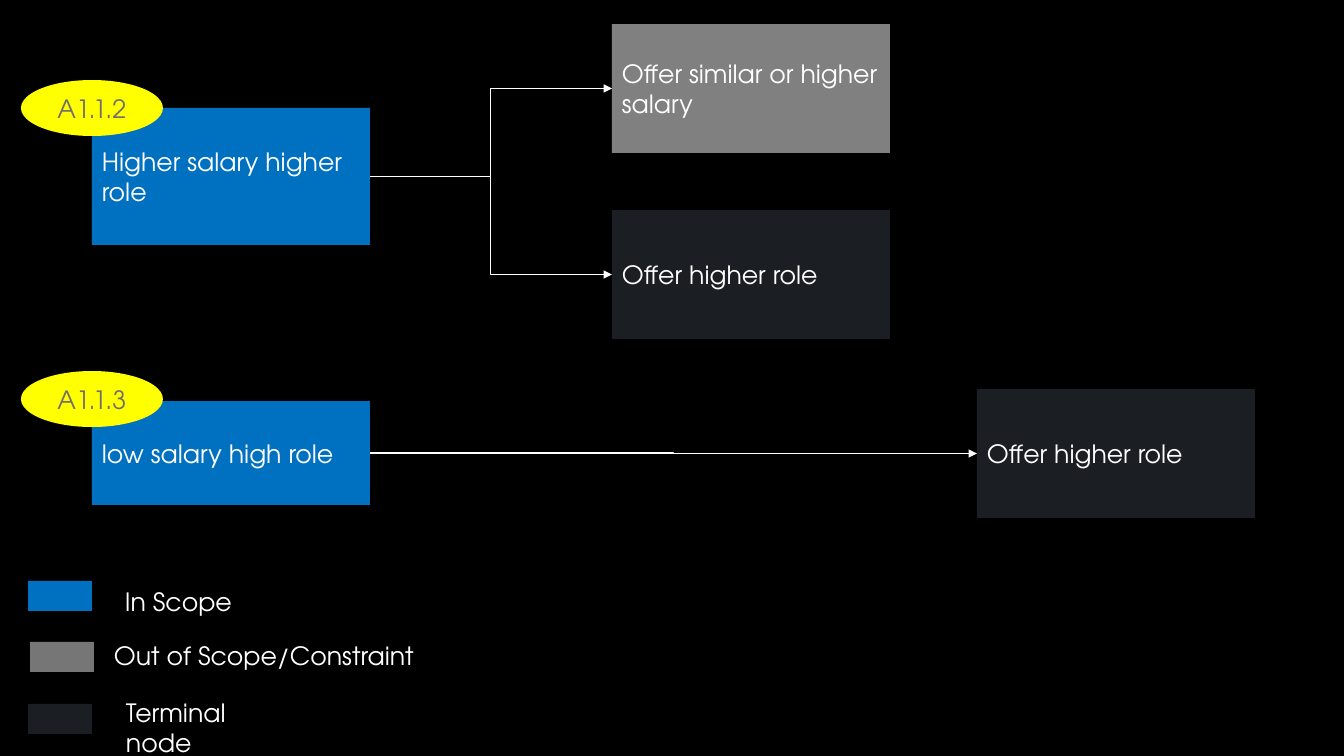
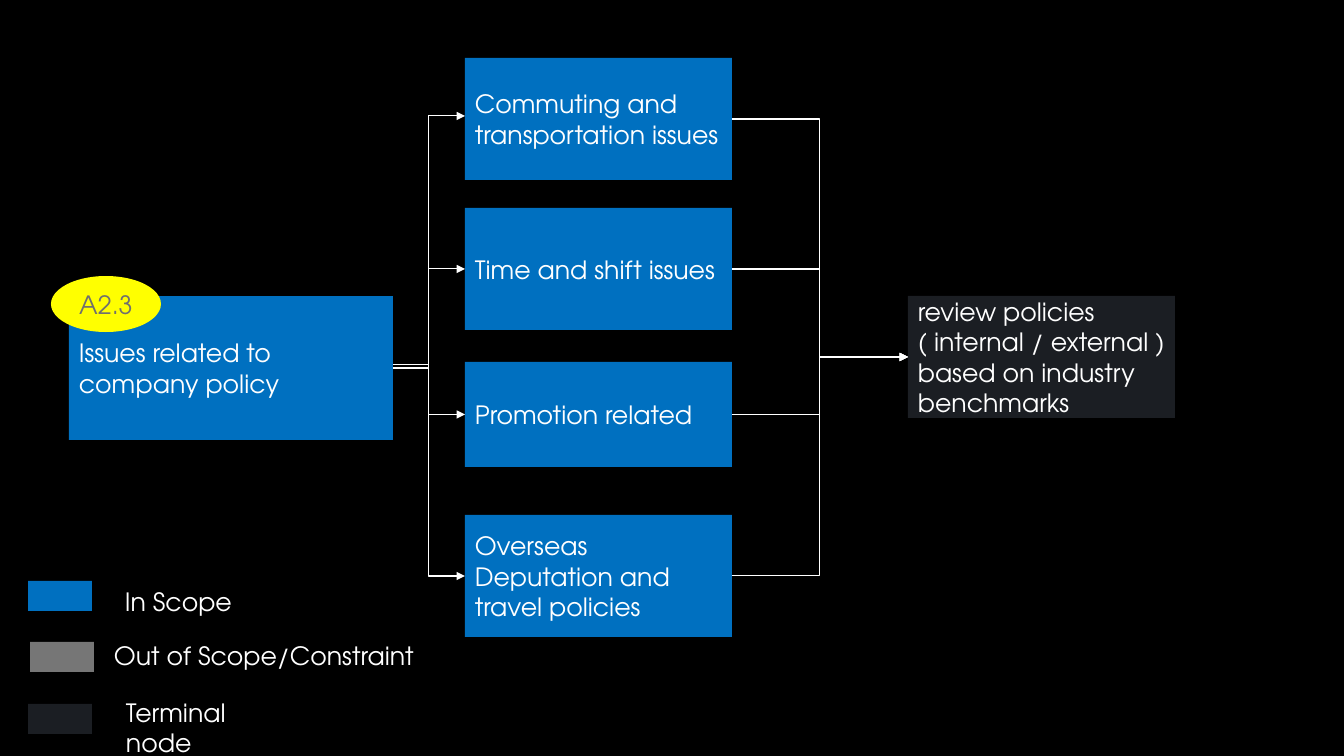
from lxml import etree
from pptx import Presentation
from pptx.dml.color import RGBColor
from pptx.enum.shapes import MSO_CONNECTOR, MSO_SHAPE
from pptx.enum.text import MSO_ANCHOR, PP_ALIGN
from pptx.oxml.ns import qn
from pptx.util import Pt

PX = 914400 / 100.8
FONT = "TeX Gyre Adventor"
RECTANGLE, OVAL = MSO_SHAPE.RECTANGLE, MSO_SHAPE.OVAL
ELBOW = MSO_CONNECTOR.ELBOW
MIDDLE, TOP = MSO_ANCHOR.MIDDLE, MSO_ANCHOR.TOP
LEFT, CENTER = PP_ALIGN.LEFT, PP_ALIGN.CENTER
LEFT_SITE, RIGHT_SITE = 1, 3
BLACK, WHITE, YELLOW = "000000", "FFFFFF", "FFFF00"
IN_SCOPE, TERMINAL = "0070C0", "1B1E23"
CONSTRAINT, LEGEND_GRAY, BADGE_TEXT = "808080", "767676", "6F6F6F"


def add_box(page, place, text="", fill=None, kind=RECTANGLE):
    place = [round(length * PX) for length in place]
    if fill:
        box = page.shapes.add_shape(kind, *place)
        box.shadow.inherit = False
        box.fill.solid()
        box.fill.fore_color.rgb = RGBColor.from_string(fill)
        box.line.fill.background()
    else:
        box = page.shapes.add_textbox(*place)
    frame = box.text_frame
    frame.word_wrap = True
    frame.vertical_anchor = MIDDLE if fill else TOP
    if text:
        para = frame.paragraphs[0]
        para.text = text
        para.alignment = CENTER if kind == OVAL else LEFT
        para.font.name = FONT
        para.font.size = Pt(18)
        para.font.color.rgb = RGBColor.from_string(BADGE_TEXT if kind == OVAL else WHITE)
    return box


def add_link(page, source, target, lift=0):
    rise = round(lift * PX)
    link = page.shapes.add_connector(
        ELBOW,
        source.left + source.width, source.top + source.height // 2 - rise,
        target.left, target.top + target.height // 2 - rise)
    if not lift:
        link.begin_connect(source, RIGHT_SITE)
        link.end_connect(target, LEFT_SITE)
    link.line.color.rgb = RGBColor.from_string(WHITE)
    link.line.width = Pt(0.75)
    etree.SubElement(link.line._get_or_add_ln(), qn("a:tailEnd"), type="triangle")
    etree.SubElement(link._element.spPr, qn("a:effectLst"))


deck = Presentation()
deck.slide_width, deck.slide_height = round(1344 * PX), round(756 * PX)
background = deck.slide_master.background.fill
background.solid()
background.fore_color.rgb = RGBColor.from_string(BLACK)
blank = deck.slide_layouts[6]

LEGEND = [
    (28, 581, IN_SCOPE, (115, 581, 169, 40), "In Scope"),
    (30, 642, LEGEND_GRAY, (104, 635, 435, 40), "Out of Scope/Constraint"),
    (28, 704, TERMINAL, (116, 692, 169, 72), "Terminal node"),
]
salary_page, policy_page = [deck.slides.add_slide(blank) for _ in range(2)]
for page in (salary_page, policy_page):
    for left, top, colour, label_place, label in LEGEND:
        add_box(page, (left, top, 64, 30), fill=colour)
        add_box(page, label_place, label)

BRANCHES = [
    ("A1.1.2", 80, "Higher salary higher role", 108, 137, [
        ("Offer similar or higher salary", 612, 24, CONSTRAINT),
        ("Offer higher role", 612, 210, TERMINAL)]),
    ("A1.1.3", 371, "low salary high role", 401, 104, [
        ("Offer higher role", 977, 389, TERMINAL)]),
]
for code, code_top, cause, top, height, offers in BRANCHES:
    cause_box = add_box(salary_page, (92, top, 278, height), cause, IN_SCOPE)
    add_box(salary_page, (21, code_top, 142, 56), code, YELLOW, OVAL)
    for offer, left, offer_top, colour in offers:
        offer_box = add_box(salary_page, (left, offer_top, 278, 129), offer, colour)
        add_link(salary_page, cause_box, offer_box)

policy_box = add_box(policy_page, (69, 296, 324, 144),
                     "Issues related to company policy", IN_SCOPE)
add_box(policy_page, (51, 276, 110, 56), "A2.3", YELLOW, OVAL)
review_box = add_box(
    policy_page, (908, 296, 267, 122),
    "review policies ( internal / external ) based on industry benchmarks", TERMINAL)

ISSUES = [
    ("Commuting and transportation issues", 58, 122, 3),
    ("Time and shift issues", 208, 122, 0),
    ("Promotion related", 362, 105, 0),
    ("Overseas Deputation and travel policies", 515, 122, 0),
]
for issue, top, height, lift in ISSUES:
    issue_box = add_box(policy_page, (465, top, 267, height), issue, IN_SCOPE)
    add_link(policy_page, policy_box, issue_box, lift)
    add_link(policy_page, issue_box, review_box)

deck.save("out.pptx")
